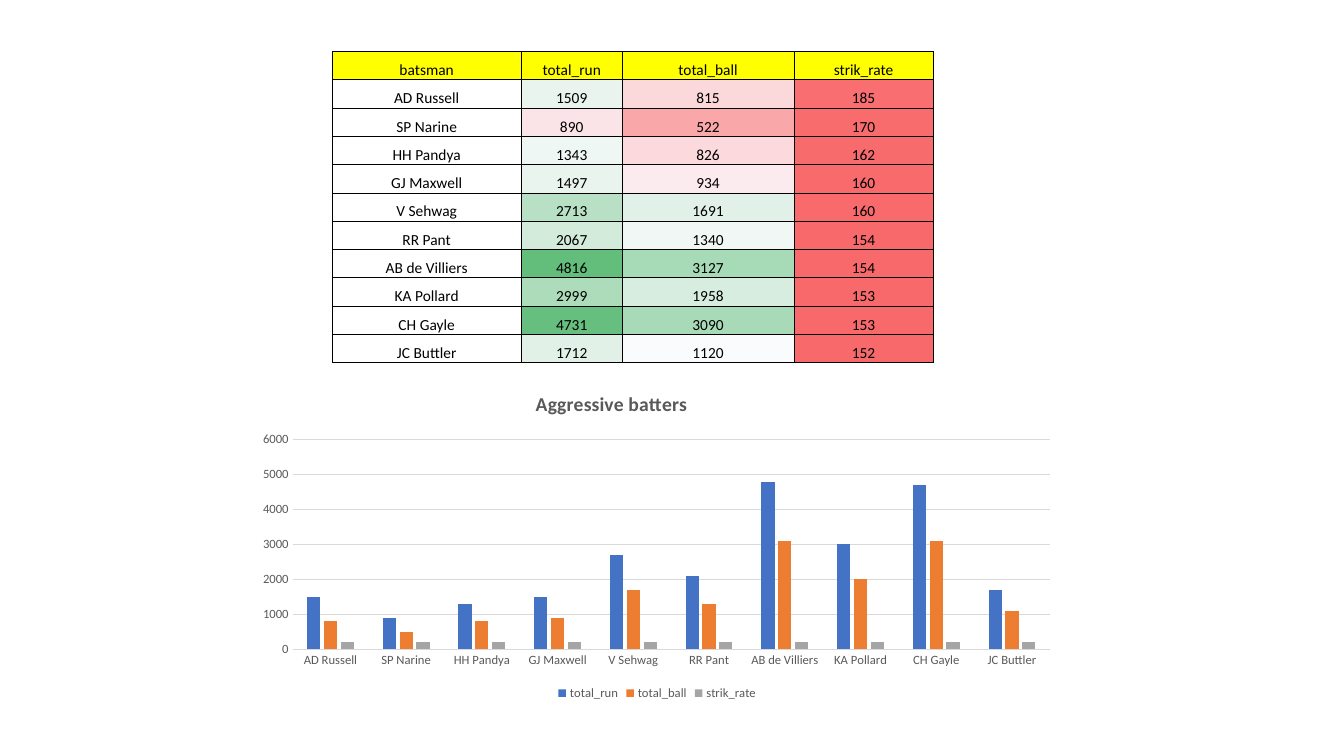
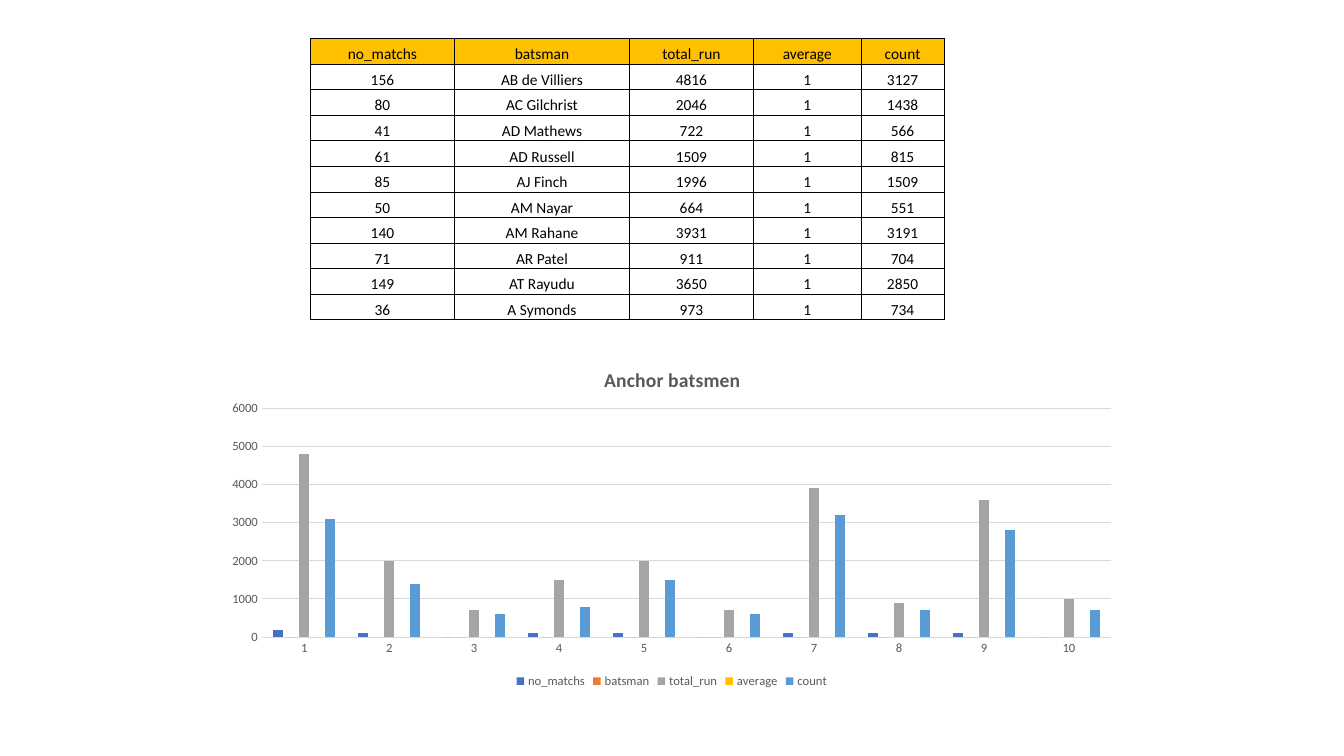
from dataclasses import dataclass
from typing import Optional

import pptx
import pptx.chart.data
import pptx.dml.color
import pptx.enum.chart
import pptx.enum.text
import pptx.oxml
import pptx.oxml.ns
import pptx.util
from pptx.util import Pt

RGBColor = pptx.dml.color.RGBColor
qn = pptx.oxml.ns.qn


@dataclass(frozen=True)
class Theme:
    font: str = "Calibri"
    text: str = "000000"
    muted: str = "595959"
    rule: str = "D9D9D9"
    series: tuple[str, ...] = ("4472C4", "ED7D31", "A5A5A5", "FFC000", "5B9BD5")
    scale: tuple[str, ...] = ("F8696B", "FCFCFF", "63BE7B")
    cell_size: float = 11
    title_size: float = 14
    chart_size: float = 10
    label_size: float = 9
    border: float = 0.5
    grid: float = 0.75


@dataclass(frozen=True)
class Box:
    left: float
    top: float
    width: float
    height: float

    def lengths(self) -> tuple[Pt, Pt, Pt, Pt]:
        return Pt(self.left), Pt(self.top), Pt(self.width), Pt(self.height)


@dataclass(frozen=True)
class Report:
    """One slide: a table and the column chart drawn from it."""
    title: str
    headers: tuple[str, ...]
    rows: tuple[tuple, ...]
    header_fill: str
    table_left: float
    table_top: float
    row_height: float
    column_widths: tuple[float, ...]
    chart: Box
    title_at: tuple[float, float]  # points from the chart corner
    plot: Box                      # points from the chart corner
    name_column: Optional[int] = None  # column that labels the categories
    scale_stops: Optional[tuple[int, int, int]] = None


THEME = Theme()

REPORTS = (
    Report(
        title="Aggressive batters",
        headers=("batsman", "total_run", "total_ball", "strik_rate"),
        rows=(
            ("AD Russell", 1509, 815, 185),
            ("SP Narine", 890, 522, 170),
            ("HH Pandya", 1343, 826, 162),
            ("GJ Maxwell", 1497, 934, 160),
            ("V Sehwag", 2713, 1691, 160),
            ("RR Pant", 2067, 1340, 154),
            ("AB de Villiers", 4816, 3127, 154),
            ("KA Pollard", 2999, 1958, 153),
            ("CH Gayle", 4731, 3090, 153),
            ("JC Buttler", 1712, 1120, 152),
        ),
        header_fill="FFFF00",
        table_left=237.2, table_top=36.7, row_height=20.22,
        column_widths=(135.2, 72, 122.8, 99.4),
        chart=Box(176.4, 270, 586, 233.3),
        title_at=(203.7, 6.3),
        plot=Box(32.6, 44, 541, 150),
        name_column=0,
        scale_stops=(152, 1034, 4816),
    ),
    Report(
        title="Anchor batsmen",
        headers=("no_matchs", "batsman", "total_run", "average", "count"),
        rows=(
            (156, "AB de Villiers", 4816, 1, 3127),
            (80, "AC Gilchrist", 2046, 1, 1438),
            (41, "AD Mathews", 722, 1, 566),
            (61, "AD Russell", 1509, 1, 815),
            (85, "AJ Finch", 1996, 1, 1509),
            (50, "AM Nayar", 664, 1, 551),
            (140, "AM Rahane", 3931, 1, 3191),
            (71, "AR Patel", 911, 1, 704),
            (149, "AT Rayudu", 3650, 1, 2850),
            (36, "A Symonds", 973, 1, 734),
        ),
        header_fill="FFC000",
        table_left=221.7, table_top=27.5, row_height=18.26,
        column_widths=(103, 125, 88.5, 77, 59.2),
        chart=Box(152.6, 247, 654.5, 247.7),
        title_at=(276.4, 12.3),
        plot=Box(34.4, 44.5, 607, 163.7),
    ),
)


def style_font(font, size: float, color: str, bold: bool = False) -> None:
    font.name = THEME.font
    font.size = Pt(size)
    font.bold = bold
    font.color.rgb = RGBColor.from_string(color)


# Table

def scale_color(value: int, stops: tuple[int, int, int]) -> RGBColor:
    """Blend the three scale colours, from low through middle to high."""
    low, middle, high = stops
    start = 0 if value < middle else 1
    share = (value - stops[start]) / (stops[start + 1] - stops[start])
    near, far = (RGBColor.from_string(c) for c in THEME.scale[start:start + 2])
    return RGBColor(*(round(a + (b - a) * share) for a, b in zip(near, far)))


def add_borders(cell) -> None:
    properties = cell._tc.get_or_add_tcPr()
    for side in ("lnL", "lnR", "lnT", "lnB"):
        properties.append(pptx.oxml.parse_xml(
            f'<a:{side} {pptx.oxml.ns.nsdecls("a")} w="{Pt(THEME.border)}">'
            f'<a:solidFill><a:srgbClr val="{THEME.text}"/></a:solidFill></a:{side}>'))


def fill_cell(cell, value, color: Optional[RGBColor]) -> None:
    cell.margin_left = cell.margin_right = cell.margin_top = Pt(0.5)
    cell.margin_bottom = Pt(0)
    cell.vertical_anchor = pptx.enum.text.MSO_ANCHOR.BOTTOM
    add_borders(cell)
    if color is None:
        cell.fill.background()
    else:
        cell.fill.solid()
        cell.fill.fore_color.rgb = color
    para = cell.text_frame.paragraphs[0]
    para.text = str(value)
    para.alignment = pptx.enum.text.PP_ALIGN.CENTER
    style_font(para.runs[0].font, THEME.cell_size, THEME.text)


def add_report_table(page, report: Report) -> None:
    lines = (report.headers, *report.rows)
    box = Box(report.table_left, report.table_top,
              sum(report.column_widths), report.row_height * len(lines))
    table = page.shapes.add_table(
        len(lines), len(report.headers), *box.lengths()).table
    table.first_row = table.horz_banding = False
    for column, width in zip(table.columns, report.column_widths):
        column.width = Pt(width)
    for row_index, line in enumerate(lines):
        table.rows[row_index].height = Pt(report.row_height)
        for column_index, value in enumerate(line):
            color = None
            if row_index == 0:
                color = RGBColor.from_string(report.header_fill)
            elif report.scale_stops and isinstance(value, int):
                color = scale_color(value, report.scale_stops)
            fill_cell(table.cell(row_index, column_index), value, color)


# Chart

def place(parent, index: int, target: str, fractions: dict[str, float]) -> None:
    """Give a chart part a fixed place, as fractions of the chart."""
    old = parent.find(qn("c:layout"))
    if old is not None:
        parent.remove(old)
    values = "".join(f'<c:{key} val="{value:.4f}"/>' for key, value in fractions.items())
    parent.insert(index, pptx.oxml.parse_xml(
        f'<c:layout {pptx.oxml.ns.nsdecls("c")}><c:manualLayout>{target}'
        f'<c:xMode val="edge"/><c:yMode val="edge"/>{values}'
        '</c:manualLayout></c:layout>'))


def bar_value(value) -> int:
    """Round to hundreds; text has no height."""
    return round(value, -2) if isinstance(value, int) else 0


def chart_data(report: Report) -> pptx.chart.data.CategoryChartData:
    data = pptx.chart.data.CategoryChartData()
    if report.name_column is None:
        data.categories = [str(n) for n in range(1, len(report.rows) + 1)]
    else:
        data.categories = [row[report.name_column] for row in report.rows]
    for index, header in enumerate(report.headers):
        if index != report.name_column:
            data.add_series(header, [bar_value(row[index]) for row in report.rows])
    return data


def style_axes(chart) -> None:
    for axis in (chart.category_axis, chart.value_axis):
        axis.major_tick_mark = pptx.enum.chart.XL_TICK_MARK.NONE
        axis.minor_tick_mark = pptx.enum.chart.XL_TICK_MARK.NONE
        style_font(axis.tick_labels.font, THEME.label_size, THEME.muted)
    values = chart.value_axis
    values.minimum_scale, values.maximum_scale, values.major_unit = 0, 6000, 1000
    values.format.line.fill.background()
    values.has_major_gridlines = True
    for line in (values.major_gridlines.format.line, chart.category_axis.format.line):
        line.color.rgb = RGBColor.from_string(THEME.rule)
        line.width = Pt(THEME.grid)


def add_report_chart(page, report: Report) -> None:
    box = report.chart
    chart = page.shapes.add_chart(
        pptx.enum.chart.XL_CHART_TYPE.COLUMN_CLUSTERED, *box.lengths(),
        chart_data(report)).chart
    style_font(chart.font, THEME.chart_size, THEME.text)

    # Bars
    bars = chart.plots[0]
    bars.gap_width, bars.overlap = 219, -27
    bars.vary_by_categories = False
    for series, color in zip(bars.series, THEME.series):
        series.format.fill.solid()
        series.format.fill.fore_color.rgb = RGBColor.from_string(color)
    style_axes(chart)

    # Title and legend
    chart.has_title = True
    para = chart.chart_title.text_frame.paragraphs[0]
    para.text = report.title
    style_font(para.runs[0].font, THEME.title_size, THEME.muted, bold=True)
    chart.has_legend = True
    chart.legend.position = pptx.enum.chart.XL_LEGEND_POSITION.BOTTOM
    chart.legend.include_in_layout = False
    style_font(chart.legend.font, THEME.label_size, THEME.muted)

    # Fixed places
    left, top = report.title_at
    plot = report.plot
    place(chart.chart_title.element, 1, "",
          {"x": left / box.width, "y": top / box.height})
    place(chart.element.find(f'.//{qn("c:plotArea")}'), 0,
          '<c:layoutTarget val="inner"/>',
          {"x": plot.left / box.width, "y": plot.top / box.height,
           "w": plot.width / box.width, "h": plot.height / box.height})


def main() -> None:
    deck = pptx.Presentation()
    deck.slide_width, deck.slide_height = Pt(960), Pt(540)
    blank = deck.slide_layouts.get_by_name("Blank")
    for report in REPORTS:
        page = deck.slides.add_slide(blank)
        add_report_table(page, report)
        add_report_chart(page, report)
    deck.save("out.pptx")


if __name__ == "__main__":
    main()
